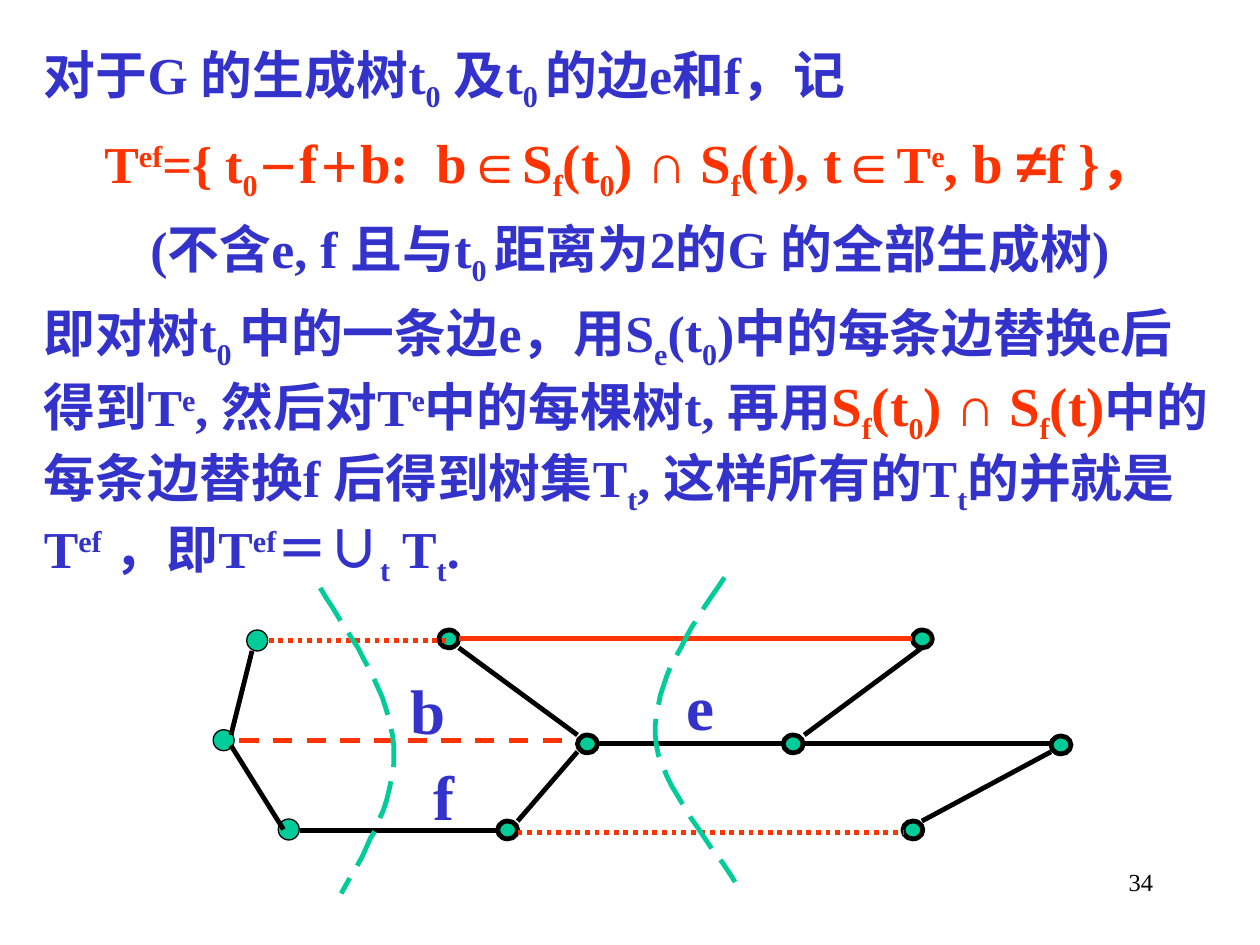
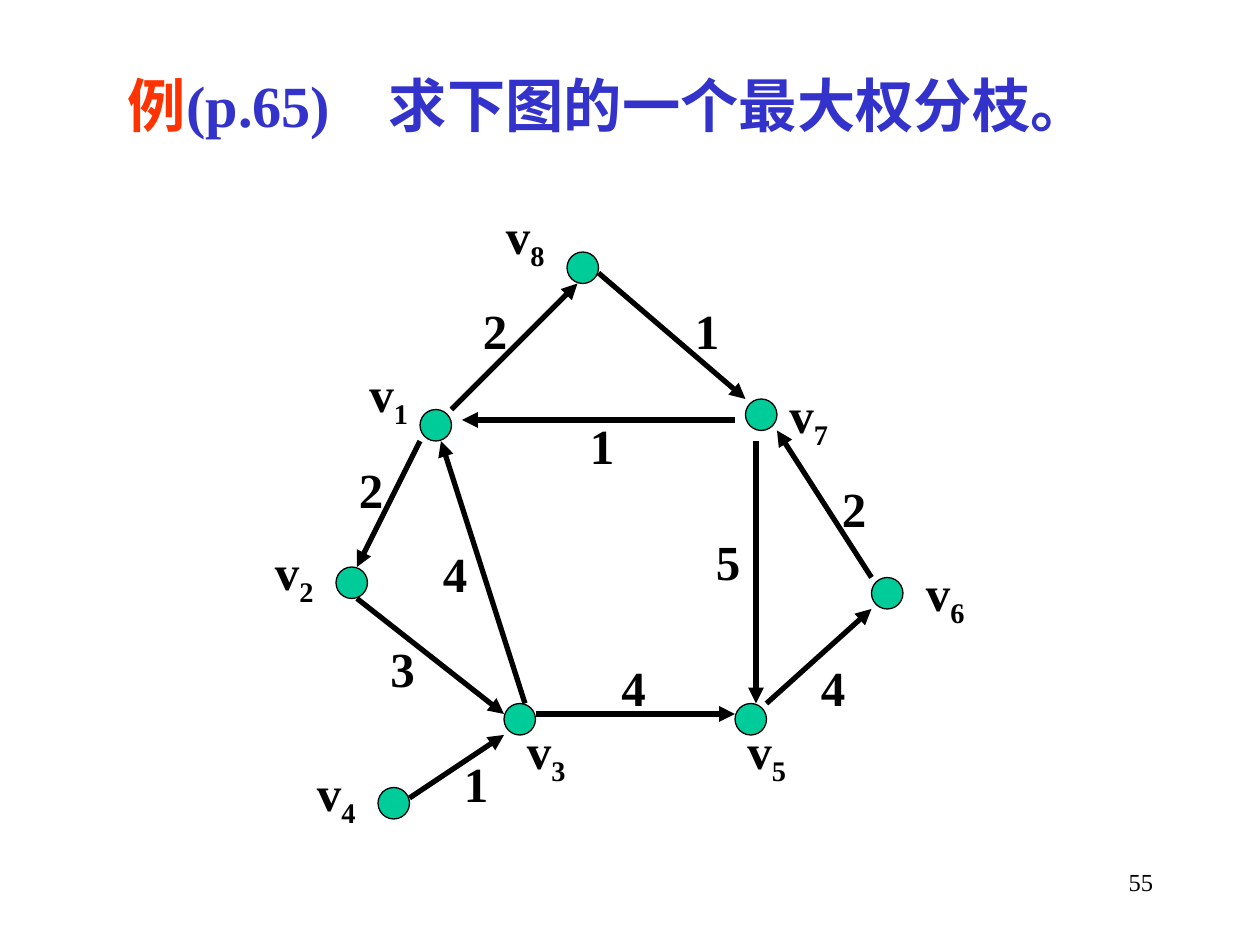
"""Build two slides on spanning trees and branchings."""
import typing

import lxml.etree
import pptx
import pptx.dml.color
import pptx.enum.shapes
import pptx.enum.text
import pptx.oxml.ns
import pptx.util

SCALE = 7620
BLUE, RED, GREEN, BLACK = "3333CC", "FF3300", "00CC99", "000000"
ALIGN = pptx.enum.text.PP_ALIGN
MARKS = {
    ".": {},
    "_": {"base": -25},
    "^": {"base": 30},
    "@": {"face": "Arial"},
    "r": {"color": RED},
    "d": {"color": RED, "base": -25},
    "u": {"color": RED, "base": 30},
    "w": {"color": RED, "size": 24.1},
    "R": {"color": RED, "size": 31.4},
    "A": {"color": RED, "size": 31.4, "face": "Arial"},
}


class Box(typing.NamedTuple):
    x: int
    y: int
    w: int
    h: int


class Para(typing.NamedTuple):
    text: str
    align: typing.Any = ALIGN.LEFT
    before: float = 0


class Edge(typing.NamedTuple):
    x1: int
    y1: int
    x2: int
    y2: int
    color: str = BLACK
    dash: str = ""


class Node(typing.NamedTuple):
    name: str
    x: int
    y: int
    left: int
    top: int


class Arc(typing.NamedTuple):
    weight: str
    edge: Edge
    left: int
    top: int


def px(*vals: int) -> list:
    return [pptx.util.Emu(v * SCALE) for v in vals]


def rgb(code: str) -> pptx.dml.color.RGBColor:
    return pptx.dml.color.RGBColor.from_string(code)


def style(run, size: float, color: str, bold: bool, face: str, base: int) -> None:
    run.font.size = pptx.util.Pt(size)
    run.font.color.rgb = rgb(color)
    run.font.bold = bold
    run.font.name = face
    if base:
        run.font._element.set("baseline", str(base * 1000))


def write(slide, box: Box, paras: list, *, size: float = 28, color: str = BLACK,
          bold: bool = True, face: str = "Times New Roman") -> None:
    frame = slide.shapes.add_textbox(*px(*box)).text_frame
    frame.word_wrap = True
    base = {"size": size, "color": color, "bold": bold, "face": face, "base": 0}
    for i, item in enumerate(paras):
        para = frame.add_paragraph() if i else frame.paragraphs[0]
        para.alignment = item.align
        para.space_before = pptx.util.Pt(item.before)
        for part in item.text.split("|"):
            run = para.add_run()
            run.text = part[1:]
            style(run, **{**base, **MARKS[part[0]]})


def tag(parent, name: str, **attrs: str) -> None:
    lxml.etree.SubElement(parent, pptx.oxml.ns.qn(name), attrs)


def stroke(line, color: str, width: float, dash: str = "", arrow: bool = False) -> None:
    line.color.rgb = rgb(color)
    line.width = pptx.util.Pt(width)
    ends = line._get_or_add_ln()
    if dash:
        tag(ends, "a:prstDash", val=dash)
    if arrow:
        tag(ends, "a:tailEnd", type="triangle")


def dot(slide, box: Box, width: float = 0.75) -> None:
    oval = pptx.enum.shapes.MSO_SHAPE.OVAL
    shape = slide.shapes.add_shape(oval, *px(*box))
    shape.shadow.inherit = False
    shape.fill.solid()
    shape.fill.fore_color.rgb = rgb(GREEN)
    stroke(shape.line, BLACK, width)


def link(slide, edge: Edge, width: float = 2.75, arrow: bool = False) -> None:
    kind = pptx.enum.shapes.MSO_CONNECTOR.STRAIGHT
    line = slide.shapes.add_connector(kind, *px(*edge[:4]))
    stroke(line.line, edge.color, width, edge.dash, arrow)
    tag(line._element.spPr, "a:effectLst")


def bend(knots: list, steps: int = 16) -> list:
    """Sample a chain of cubic curves."""
    out = [knots[0]]
    for i in range(0, len(knots) - 1, 3):
        quad = knots[i:i + 4]
        for n in range(1, steps + 1):
            t = n / steps
            mix = ((1 - t) ** 3, 3 * t * (1 - t) ** 2, 3 * t * t * (1 - t), t ** 3)
            out.append(tuple(sum(m * p[k] for m, p in zip(mix, quad)) for k in (0, 1)))
    return out


def cut(slide, knots: list) -> None:
    first, *rest = bend(knots)
    pen = slide.shapes.build_freeform(*first, scale=SCALE)
    pen.add_line_segments(rest, close=False)
    shape = pen.convert_to_shape()
    shape.shadow.inherit = False
    shape.fill.background()
    stroke(shape.line, GREEN, 2.75, "lgDash")


def start(deck, page: int):
    slide = deck.slides.add_slide(deck.slide_layouts[6])
    write(slide, Box(860, 820, 250, 60), [Para(f".{page}", ALIGN.RIGHT)],
          size=14, bold=False)
    return slide


PROOF = [
    Para(".对于G 的生成树t|_0|. 及t|_0 |.的边e和f，记"),
    Para("rT|uef|r={ t|d0|w－|Rf|w＋|Rb:  b|A∈|RS|df|R(t|d0|R) |A∩|R S|df|R(t), t"
         "|A∈|rT|ue|R, b |A≠|Rf }，", ALIGN.CENTER, 8.5),
    Para(".(不含e, f 且与t|_0 |.距离为2的G 的全部生成树)", ALIGN.CENTER, 8),
    Para(".即对树t|_0 |.中的一条边e，用S|_e|.(t|_0|.)中的每条边替换e后得到T|^e"
         "|., 然后对T|^e|.中的每棵树t, 再用|RS|df|R(t|d0|R) |A∩|R S|df|R(t)"
         "|.中的每条边替换f 后得到树集T|_t|., 这样所有的T|_t|.的并就是T|^ef"
         "|. ，即T|^ef|.＝|@∪|_t|. T|_t|..", before=8),
]
RINGS = [(550, 700), (746, 700), (418, 600), (474, 782), (869, 600), (860, 782), (1001, 701)]
DOTS = [(235, 600), (203, 695), (265, 780)]
EDGES = [
    Edge(568, 708, 746, 708),
    Edge(437, 617, 550, 700),
    Edge(286, 791, 475, 791),
    Edge(493, 782, 550, 716),
    Edge(766, 700, 878, 617),
    Edge(766, 708, 1001, 708),
    Edge(878, 782, 1001, 716),
    Edge(437, 608, 869, 608, RED),
    Edge(493, 793, 860, 793, RED, "sysDot"),
    Edge(228, 705, 547, 705, RED, "dash"),
    Edge(256, 610, 425, 610, RED, "sysDot"),
    Edge(220, 710, 270, 790),
    Edge(240, 620, 220, 700),
]
CUTS = [
    [(690, 550), (656, 600), (623, 650), (624, 700), (626, 748), (688, 817), (700, 840)],
    [(305, 560), (338, 611), (372, 662), (375, 710), (378, 758), (352, 804), (325, 851)],
]
NAMES = [("e", 625, 630), ("b", 365, 634), ("f", 380, 716)]

NODES = [
    Node("1", 400, 390, 340, 340),
    Node("2", 320, 540, 250, 510),
    Node("3", 480, 670, 490, 680),
    Node("4", 360, 750, 290, 720),
    Node("5", 700, 670, 700, 680),
    Node("6", 830, 550, 870, 530),
    Node("7", 710, 380, 740, 360),
    Node("8", 540, 240, 470, 190),
]
ARCS = [
    Arc("2", Edge(430, 390, 550, 270), 448, 280),
    Arc("1", Edge(570, 260, 710, 380), 650, 280),
    Arc("1", Edge(700, 400, 440, 400), 550, 390),
    Arc("2", Edge(400, 420, 340, 540), 330, 432),
    Arc("4", Edge(500, 670, 420, 420), 410, 512),
    Arc("3", Edge(340, 570, 480, 680), 360, 602),
    Arc("1", Edge(390, 760, 480, 700), 430, 712),
    Arc("4", Edge(510, 680, 700, 680), 580, 620),
    Arc("5", Edge(720, 420, 720, 670), 670, 500),
    Arc("4", Edge(730, 670, 830, 580), 770, 620),
    Arc("2", Edge(830, 550, 740, 410), 790, 450),
]


def trees(deck) -> None:
    slide = start(deck, 34)
    write(slide, Box(30, 35, 1140, 550), PROOF, size=29.6, color=BLUE)
    for x, y in RINGS:
        dot(slide, Box(x, y, 19, 17), 2.75)
    for x, y in DOTS:
        dot(slide, Box(x, y, 20, 20))
    for edge in EDGES:
        link(slide, edge)
    for knots in CUTS:
        cut(slide, knots)
    for name, x, y in NAMES:
        write(slide, Box(x, y, 85, 84), [Para(f".{name}", ALIGN.CENTER)],
              size=36, color=BLUE)


def branch(deck) -> None:
    slide = start(deck, 55)
    write(slide, Box(110, 60, 1030, 130), [Para("r例|.(p.65)　求下图的一个最大权分枝。")],
          size=33.3, color=BLUE)
    for node in NODES:
        dot(slide, Box(node.x, node.y, 30, 30))
        write(slide, Box(node.left, node.top, 80, 76), [Para(f".v|_{node.name}")])
    for arc in ARCS:
        link(slide, arc.edge, 3, arrow=True)
        write(slide, Box(arc.left, arc.top, 50, 68), [Para(f".{arc.weight}")])


def main() -> None:
    deck = pptx.Presentation()
    deck.slide_width, deck.slide_height = px(1200, 900)
    trees(deck)
    branch(deck)
    deck.save("out.pptx")


if __name__ == "__main__":
    main()
